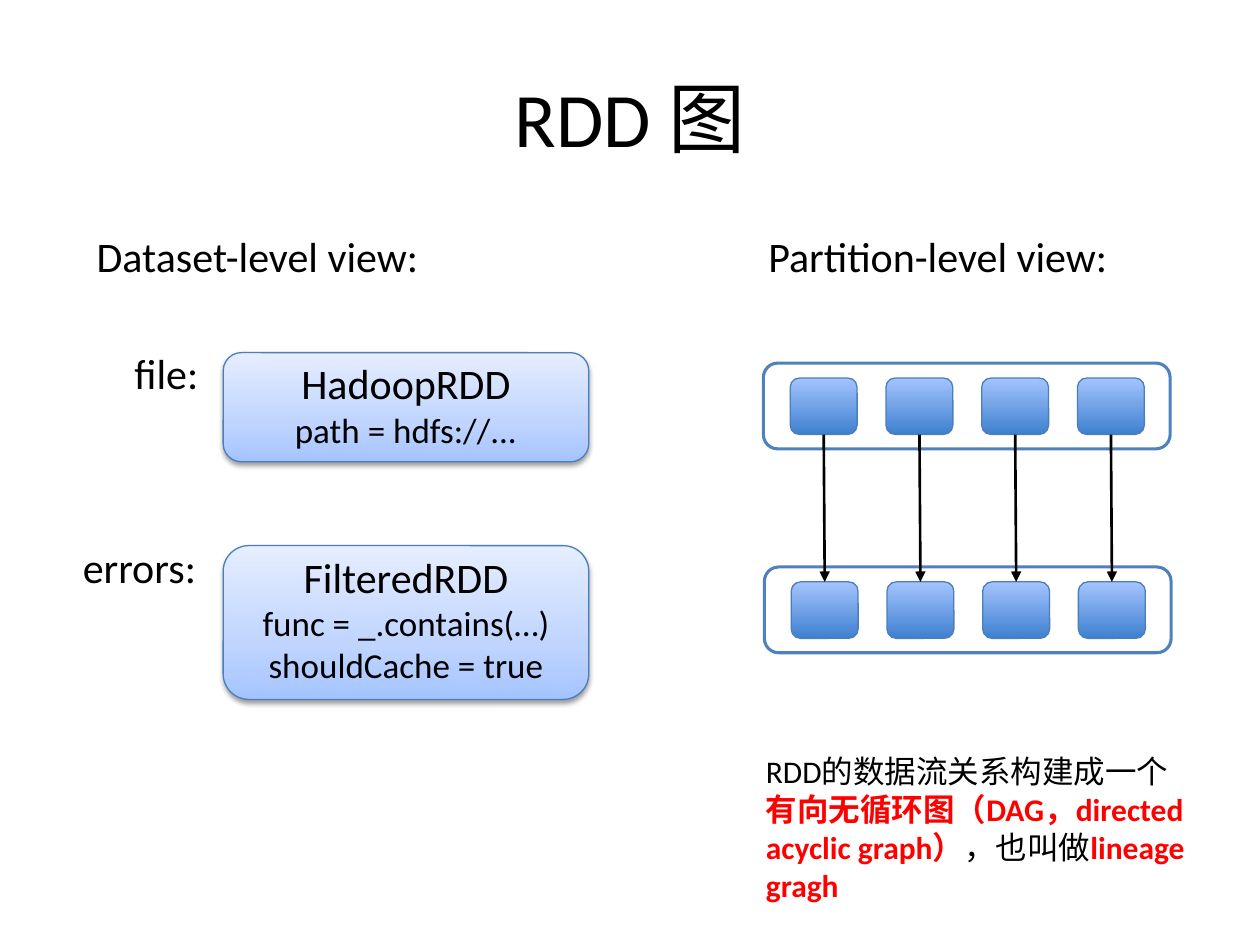
from lxml.etree import SubElement
from pptx import Presentation
from pptx.dml.color import RGBColor
from pptx.enum.shapes import MSO_CONNECTOR as CONN, MSO_SHAPE as SHAPE
from pptx.enum.text import MSO_ANCHOR as ANCHOR, MSO_AUTO_SIZE as AUTO, PP_ALIGN as ALIGN
from pptx.oxml.ns import qn
from pptx.util import Cm, Pt

COLORS = {
    "text": "000000", "accent": "FF0000", "panel": "FFFFFF",
    "panel_line": "4F81BD", "line": "4B7EBC",
    "blue": "3F80CE", "sky": "A4C4FF", "pale": "BFD4FF", "ice": "E6EEFF",
}
FONT = "Calibri"
DATASET_STOPS = [(0, "sky"), (35, "pale"), (100, "ice")]
PARTITION_STOPS = [(0, "blue"), (100, "sky")]
PARTITIONS = 4
PITCH, CELL_W, CELL_H = 1.93, 1.35, 1.14
INSET_X, INSET_Y = 0.54, 0.3


def rgb(name):
    return RGBColor.from_string(COLORS[name])


def style(font, size, color="text"):
    font.name = FONT
    font.size = Pt(size)
    font.color.rgb = rgb(color)


def add_text(s, box, runs, size, wrap=False, align=ALIGN.LEFT, anchor=ANCHOR.TOP, auto=AUTO.SHAPE_TO_FIT_TEXT):
    tf = s.shapes.add_textbox(*map(Cm, box)).text_frame
    tf.word_wrap = wrap
    tf.auto_size = auto
    tf.vertical_anchor = anchor
    p = tf.paragraphs[0]
    p.alignment = align
    style(p.font, size)
    for text, emphasis in runs:
        r = p.add_run()
        r.text = text
        if emphasis:
            r.font.bold = True
            r.font.color.rgb = rgb("accent")


def add_round_rect(s, box, line, width):
    sp = s.shapes.add_shape(SHAPE.ROUNDED_RECTANGLE, *map(Cm, box))
    sp.shadow.inherit = False
    sp.line.color.rgb = rgb(line)
    sp.line.width = Pt(width)
    return sp


def set_gradient(sp, stops):
    sp.fill.gradient()
    sp.fill.gradient_angle = 90
    stop_list = sp._element.spPr.find(".//" + qn("a:gsLst"))
    stop_list.clear()
    for position, color in stops:
        stop = SubElement(stop_list, qn("a:gs"), pos=str(position * 1000))
        SubElement(stop, qn("a:srgbClr"), val=COLORS[color])


def add_drop_shadow(sp):
    effects = sp._element.spPr.find(qn("a:effectLst"))
    shadow = SubElement(effects, qn("a:outerShdw"), blurRad=str(Pt(3.1)), dist=str(Pt(1.6)),
                        dir="5400000", rotWithShape="0")
    color = SubElement(shadow, qn("a:srgbClr"), val=COLORS["text"])
    SubElement(color, qn("a:alpha"), val="38000")


def add_dataset(s, box, name, details):
    sp = add_round_rect(s, box, "line", 0.75)
    set_gradient(sp, DATASET_STOPS)
    add_drop_shadow(sp)
    tf = sp.text_frame
    tf.word_wrap = True
    tf.vertical_anchor = ANCHOR.BOTTOM
    p = tf.paragraphs[0]
    p.alignment = ALIGN.CENTER
    style(p.font, 20)
    for i, text in enumerate([name, *details]):
        if i:
            p.add_line_break()
        r = p.add_run()
        r.text = text
        style(r.font, 20 if i else 24)


def add_partitions(s, left, top):
    panel = add_round_rect(s, (left, top, 8.2, 1.73), "panel_line", 1.75)
    panel.fill.solid()
    panel.fill.fore_color.rgb = rgb("panel")
    for i in range(PARTITIONS):
        box = (left + INSET_X + i * PITCH, top + INSET_Y, CELL_W, CELL_H)
        set_gradient(add_round_rect(s, box, "line", 0.75), PARTITION_STOPS)


def add_arrow(s, x1, y1, x2, y2):
    arrow = s.shapes.add_connector(CONN.STRAIGHT, *map(Cm, (x1, y1, x2, y2)))
    arrow.line.color.rgb = rgb("text")
    arrow.line.width = Pt(1.5)
    SubElement(arrow.line._get_or_add_ln(), qn("a:tailEnd"), type="triangle")
    SubElement(arrow._element.spPr, qn("a:effectLst"))


def main():
    prs = Presentation()
    prs.slide_width, prs.slide_height = Cm(25.4), Cm(19.05)
    s = prs.slides.add_slide(prs.slide_layouts[6])

    add_text(s, (1.27, 0.76, 22.86, 3.18), [("RDD 图", False)], 44, True,
             ALIGN.CENTER, ANCHOR.MIDDLE, AUTO.NONE)

    add_dataset(s, (4.5, 7.11, 7.37, 2.2), "HadoopRDD", ["path = hdfs://..."])
    add_dataset(s, (4.5, 11, 7.37, 3.1), "FilteredRDD",
                ["func = _.contains(…)", "shouldCache = true"])

    for text, box in [
        ("file:", (2.46, 6.88, 1.83, 1.27)),
        ("errors:", (1.42, 10.8, 2.87, 1.27)),
        ("Partition-level view:", (15.24, 4.52, 7.54, 1.27)),
        ("Dataset-level view:", (1.7, 4.52, 7.21, 1.27)),
    ]:
        add_text(s, box, [(text, False)], 24)

    (left1, top1), (left2, top2) = rows = [(15.39, 7.32), (15.41, 11.43)]
    for left, top in rows:
        add_partitions(s, left, top)
    for i in range(PARTITIONS):
        center = INSET_X + CELL_W / 2 + i * PITCH
        add_arrow(s, left1 + center, top1 + INSET_Y + CELL_H, left2 + center, top2 + INSET_Y)

    add_text(s, (15.19, 15.04, 9.12, 3.33), [
        ("RDD的数据流关系构建成一个", False),
        ("有向无循环图（DAG，directed acyclic graph）", True),
        ("，也叫做", False),
        ("lineage gragh", True),
    ], 18, True)

    prs.save("out.pptx")


if __name__ == "__main__":
    main()
